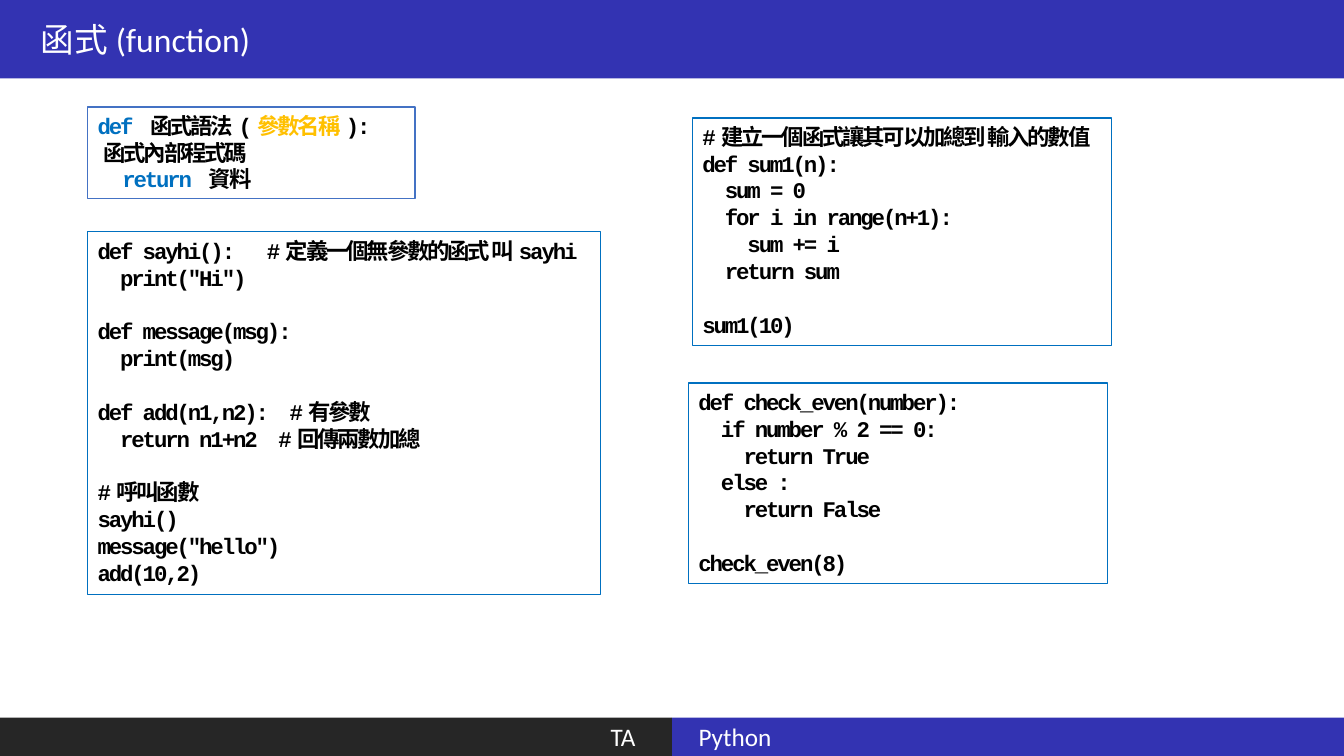
import pptx
import pptx.dml.color
import pptx.enum.shapes
import pptx.enum.text
import pptx.util

Pt = pptx.util.Pt
RGBColor = pptx.dml.color.RGBColor
PP_ALIGN = pptx.enum.text.PP_ALIGN
ANCHOR = pptx.enum.text.MSO_ANCHOR

WHITE = RGBColor(0xFF, 0xFF, 0xFF)
BLACK = RGBColor(0, 0, 0)
INDIGO = RGBColor(0x33, 0x33, 0xB2)
CHARCOAL = RGBColor(0x26, 0x26, 0x26)
BLUE = RGBColor(0x00, 0x70, 0xC0)
SLATE = RGBColor(0x44, 0x72, 0xC4)
AMBER = RGBColor(0xFF, 0xC0, 0x00)

WIDTH, HEIGHT = 960, 540
FOOTER_TOP = 512.6
CODE_LINE = 19.2

prs = pptx.Presentation()
prs.slide_width, prs.slide_height = Pt(WIDTH), Pt(HEIGHT)
s = prs.slides.add_slide(prs.slide_layouts[6])


def add_box(left, top, width, height, fill):
    sp = s.shapes.add_shape(pptx.enum.shapes.MSO_SHAPE.RECTANGLE,
                            Pt(left), Pt(top), Pt(width), Pt(height))
    sp.shadow.inherit = False
    sp.fill.solid()
    sp.fill.fore_color.rgb = fill
    sp.text_frame.word_wrap = True
    return sp


# Title and footer bars
bars = [
    ("函式(function)", 0, 0, WIDTH, 56, INDIGO, 24, PP_ALIGN.LEFT, 29),
    ("Python", WIDTH / 2, FOOTER_TOP, WIDTH / 2, HEIGHT - FOOTER_TOP, INDIGO, 18, PP_ALIGN.LEFT, 19),
    ("TA", 0, FOOTER_TOP, WIDTH / 2, HEIGHT - FOOTER_TOP, CHARCOAL, 18, PP_ALIGN.RIGHT, 26),
]
for text, left, top, width, height, fill, size, align, margin in bars:
    sp = add_box(left, top, width, height, fill)
    sp.line.fill.background()
    tf = sp.text_frame
    tf.vertical_anchor = ANCHOR.MIDDLE
    tf.margin_left = tf.margin_right = Pt(margin)
    p = tf.paragraphs[0]
    p.text = text
    p.alignment = align
    p.font.name, p.font.size = "Calibri", Pt(size)
    p.font.color.rgb = WHITE

# Code boxes: each line is a list of (text, colour) pieces or one black string;
# an empty line becomes space before the next one
syntax = [
    [("def ", BLUE), ("函式語法(", BLACK), ("參數名稱", AMBER), ("):", BLACK)],
    "  函式內部程式碼",
    [("  ", BLACK), ("return ", BLUE), ("資料", BLACK)],
]
examples = """def sayhi():   #定義一個無參數的函式 叫sayhi
  print("Hi")

def message(msg):
  print(msg)

def add(n1,n2):  #有參數
  return n1+n2  #回傳兩數加總

#呼叫函數
sayhi()
message("hello")
add(10,2)""".split("\n")
sum_code = """#建立一個函式讓其可以加總到 輸入的數值
def sum1(n):
  sum = 0
  for i in range(n+1):
    sum += i
  return sum

sum1(10)""".split("\n")
even_code = """def check_even(number):
  if number % 2 == 0:
    return True
  else :
    return False

check_even(8)""".split("\n")

code_boxes = [
    (syntax, 62.6, 76.3, 234, 65.5, SLATE),
    (examples, 62.6, 165.6, 366.5, 259.2, BLUE),
    (sum_code, 494.6, 84.2, 299.5, 162.7, BLUE),
    (even_code, 491.8, 273.6, 299.5, 143.3, BLUE),
]
for lines, left, top, width, height, border in code_boxes:
    sp = add_box(left, top, width, height, WHITE)
    sp.line.color.rgb = border
    sp.line.width = Pt(1)
    tf = sp.text_frame
    tf.vertical_anchor = ANCHOR.TOP
    tf.auto_size = pptx.enum.text.MSO_AUTO_SIZE.SHAPE_TO_FIT_TEXT
    p, gap = None, 0
    for line in lines:
        if not line:
            gap += CODE_LINE
            continue
        p = tf.add_paragraph() if p else tf.paragraphs[0]
        p.alignment = PP_ALIGN.LEFT
        if gap:
            p.space_before = Pt(gap)
            gap = 0
        p.font.name, p.font.size, p.font.bold = "Courier New", Pt(16), True
        pieces = [(line, BLACK)] if isinstance(line, str) else line
        for text, color in pieces:
            r = p.add_run()
            r.text = text
            r.font.color.rgb = color
            r._r.get_or_add_rPr().set("spc", "-150")

prs.save("out.pptx")
